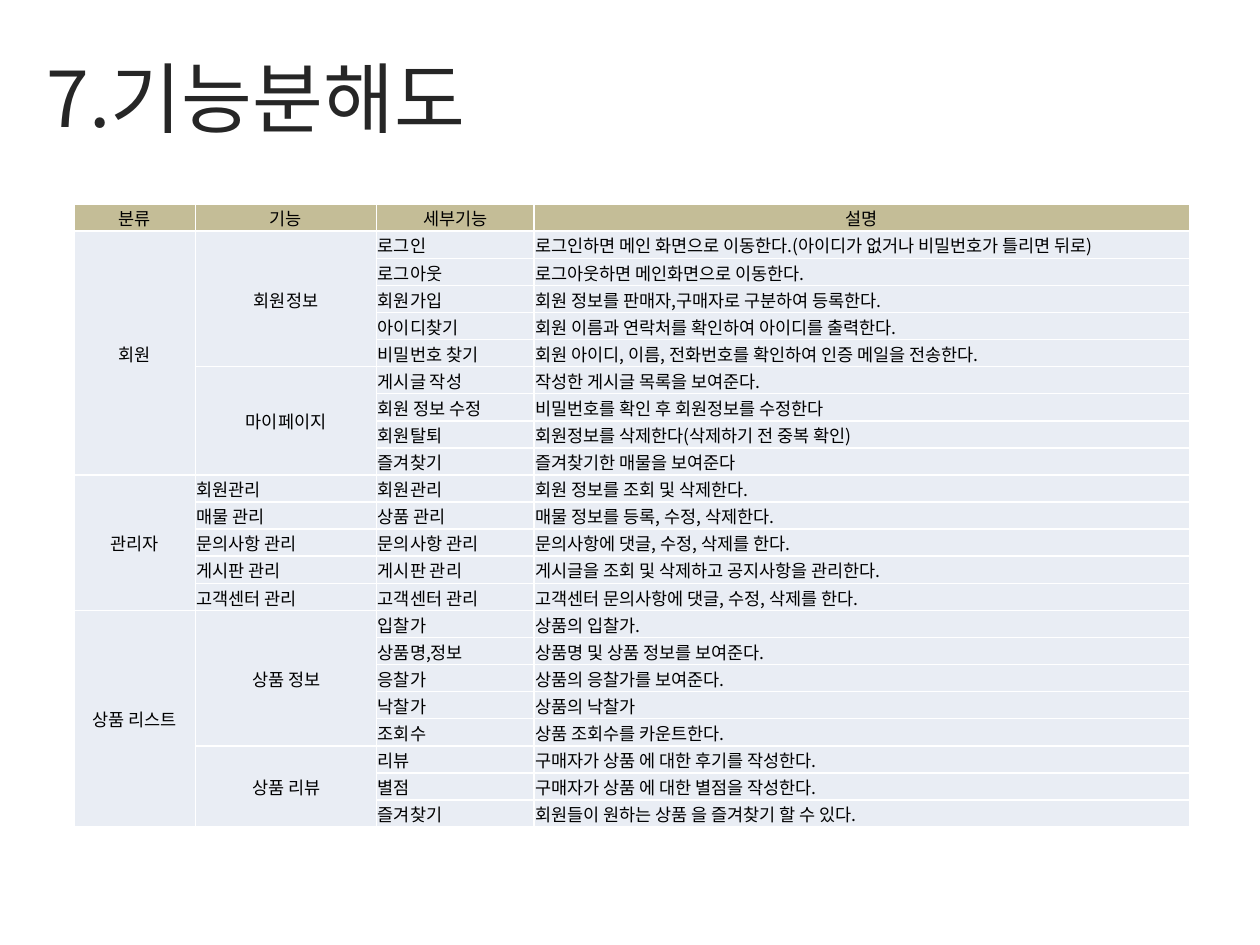
from pptx import Presentation
from pptx.dml.color import RGBColor
from pptx.enum.text import MSO_ANCHOR, MSO_AUTO_SIZE, PP_ALIGN
from pptx.oxml import parse_xml
from pptx.oxml.ns import nsdecls
from pptx.util import Inches, Pt

LEFT, CENTER = PP_ALIGN.LEFT, PP_ALIGN.CENTER
MIDDLE = MSO_ANCHOR.MIDDLE
NO_FIT = MSO_AUTO_SIZE.NONE

# Content: category -> function -> (detail, description)
TITLE = "7.기능분해도"
HEADERS = ["분류", "기능", "세부기능", "설명"]
FUNCTIONS = {
    "회원": {
        "회원정보": [
            ("로그인", "로그인하면 메인 화면으로 이동한다.(아이디가 없거나 비밀번호가 틀리면 뒤로)"),
            ("로그아웃", "로그아웃하면 메인화면으로 이동한다."),
            ("회원가입", "회원 정보를 판매자,구매자로 구분하여 등록한다."),
            ("아이디찾기", "회원 이름과 연락처를 확인하여 아이디를 출력한다."),
            ("비밀번호 찾기", "회원 아이디, 이름, 전화번호를 확인하여 인증 메일을 전송한다."),
        ],
        "마이페이지": [
            ("게시글 작성", "작성한 게시글 목록을 보여준다."),
            ("회원 정보 수정", "비밀번호를 확인 후 회원정보를 수정한다"),
            ("회원탈퇴", "회원정보를 삭제한다(삭제하기 전 중복 확인)"),
            ("즐겨찾기", "즐겨찾기한 매물을 보여준다"),
        ],
    },
    "관리자": {
        "회원관리": [("회원관리", "회원 정보를 조회 및 삭제한다.")],
        "매물 관리": [("상품 관리", "매물 정보를 등록, 수정, 삭제한다.")],
        "문의사항 관리": [("문의사항 관리", "문의사항에 댓글, 수정, 삭제를 한다.")],
        "게시판 관리": [("게시판 관리", "게시글을 조회 및 삭제하고 공지사항을 관리한다.")],
        "고객센터 관리": [("고객센터 관리", "고객센터 문의사항에 댓글, 수정, 삭제를 한다.")],
    },
    "상품 리스트": {
        "상품 정보": [
            ("입찰가", "상품의 입찰가."),
            ("상품명,정보", "상품명 및 상품 정보를 보여준다."),
            ("응찰가", "상품의 응찰가를 보여준다."),
            ("낙찰가", "상품의 낙찰가"),
            ("조회수", "상품 조회수를 카운트한다."),
        ],
        "상품 리뷰": [
            ("리뷰", "구매자가 상품 에 대한 후기를 작성한다."),
            ("별점", "구매자가 상품 에 대한 별점을 작성한다."),
            ("즐겨찾기", "회원들이 원하는 상품 을 즐겨찾기 할 수 있다."),
        ],
    },
}

# Look and layout
FONT = "Noto Sans CJK KR"
COLORS = {"title": "262626", "text": "000000", "header": "C4BD97",
          "body": "E9EDF4", "border": "FFFFFF"}
TITLE_BOX = dict(left=Inches(0.27), top=Inches(0.37),
                 width=Inches(9.49), height=Inches(0.79))
TABLE_LEFT, TABLE_TOP, TABLE_HEIGHT = 0.59, 1.62, 4.95
COLUMN_WIDTHS = [0.96, 1.44, 1.25, 5.2]
CELL_FORMAT = dict(margin_left=Inches(0.01), margin_right=Inches(0.01),
                   margin_top=Inches(0.01), margin_bottom=0,
                   vertical_anchor=MIDDLE)


def set_all(target, values):
    for name, value in values.items():
        setattr(target, name, value)


def write(frame, text, size, color, align):
    para = frame.paragraphs[0]
    para.alignment = align
    span = para.add_run()
    span.text = text
    set_all(span.font, dict(name=FONT, size=Pt(size), bold=False))
    span.font.color.rgb = RGBColor.from_string(COLORS[color])
    span.font._element.append(
        parse_xml(f'<a:ea {nsdecls("a")} typeface="{FONT}"/>'))


def style_cell(cell, fill):
    set_all(cell, CELL_FORMAT)
    properties = cell._tc.get_or_add_tcPr()
    for side in ("lnL", "lnR", "lnT", "lnB"):
        properties.append(parse_xml(
            f'<a:{side} {nsdecls("a")} w="{Pt(1)}"><a:solidFill>'
            f'<a:srgbClr val="{COLORS["border"]}"/></a:solidFill></a:{side}>'))
    cell.fill.solid()
    cell.fill.fore_color.rgb = RGBColor.from_string(COLORS[fill])


def list_cells():
    """Return (row, column, rows spanned, text, alignment) for each cell."""
    cells = [(0, column, 1, text, CENTER) for column, text in enumerate(HEADERS)]
    row = 1
    for category, functions in FUNCTIONS.items():
        span = sum(len(details) for details in functions.values())
        cells.append((row, 0, span, category, CENTER))
        for function, details in functions.items():
            align = CENTER if len(details) > 1 else LEFT
            cells.append((row, 1, len(details), function, align))
            for detail, description in details:
                cells.append((row, 2, 1, detail, LEFT))
                cells.append((row, 3, 1, description, LEFT))
                row += 1
    return cells, row


def add_title(page):
    title = page.shapes.title
    set_all(title, TITLE_BOX)
    set_all(title.text_frame, dict(vertical_anchor=MIDDLE, word_wrap=True,
                                   auto_size=NO_FIT))
    write(title.text_frame, TITLE, 44, "title", LEFT)


def add_function_table(page):
    cells, row_count = list_cells()
    table = page.shapes.add_table(
        row_count, len(HEADERS), Inches(TABLE_LEFT), Inches(TABLE_TOP),
        Inches(sum(COLUMN_WIDTHS)), Inches(TABLE_HEIGHT)).table
    table.horz_banding = False
    for column, width in zip(table.columns, COLUMN_WIDTHS):
        column.width = Inches(width)
    for index, row in enumerate(table.rows):
        row.height = Inches(TABLE_HEIGHT / row_count)
        for cell in row.cells:
            style_cell(cell, "body" if index else "header")
    for row, column, span, text, align in cells:
        cell = table.cell(row, column)
        if span > 1:
            cell.merge(table.cell(row + span - 1, column))
        write(cell.text_frame, text, 10, "text", align)


def main():
    deck = Presentation()
    set_all(deck, dict(slide_width=Inches(10), slide_height=Inches(7.5)))
    page = deck.slides.add_slide(deck.slide_layouts[5])
    add_title(page)
    add_function_table(page)
    deck.save("out.pptx")


if __name__ == "__main__":
    main()
